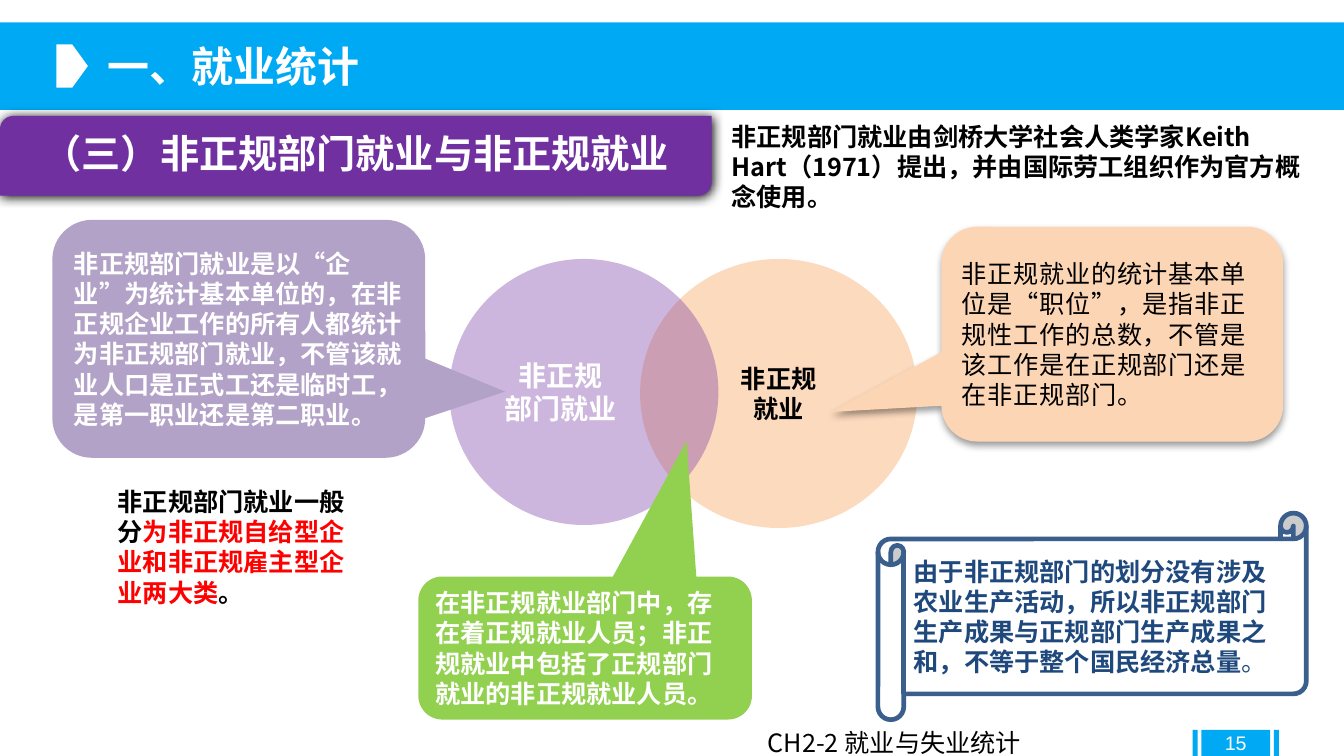
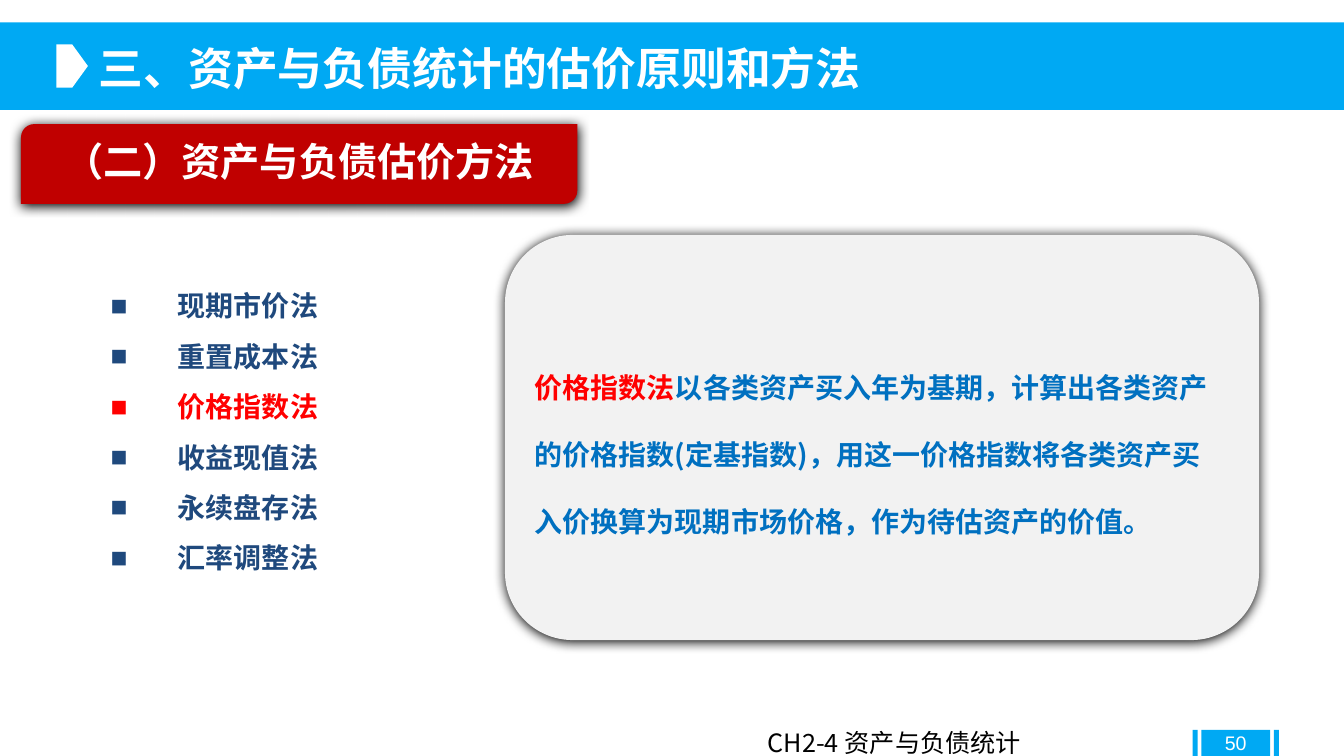
from dataclasses import dataclass
from lxml.etree import SubElement as Sub
from pptx import Presentation as Deck
from pptx.dml.color import RGBColor as Rgb
from pptx.enum.shapes import MSO_SHAPE as Form
from pptx.enum.text import MSO_ANCHOR as Anchor, PP_ALIGN as Align
from pptx.oxml.ns import qn
from pptx.util import Pt


@dataclass(frozen=True)
class Theme:
    font: str = "Noto Sans CJK SC"
    plain: str = "Arial"
    white: str = "FFFFFF"
    black: str = "000000"
    sky: str = "00A9F3"
    navy: str = "1F497D"
    blue: str = "0070C0"
    steel: str = "3A5F8C"
    red: str = "FF0000"
    wine: str = "C00000"
    purple: str = "7030A0"
    lilac: str = "B3A2C7"
    orange: str = "F79646"
    peach: str = "FCD5B5"
    green: str = "92D050"
    pale: str = "F2F2F2"
    small: int = 14
    body: int = 18
    large: int = 20
    head: int = 28


T = Theme()
DEEP = (100, 8.5, 1)
SOFT = (40, 5.2, 3)


def put(obj, vals):
    for key, val in vals.items():
        setattr(obj, key, val)


class Page:
    def __init__(self, deck):
        self.slide = deck.slides.add_slide(deck.slide_layouts[6])

    def fill_in(self, shape, paras, font=None, para=None, frame=None, bullet=None, track=None):
        body = shape.text_frame
        put(body, {"word_wrap": True, **(frame or {})})
        base = {"size": T.body, "bold": True, "color": T.black, "name": T.font, **(font or {})}
        for num, runs in enumerate(paras):
            line = body.add_paragraph() if num else body.paragraphs[0]
            put(line, {"alignment": Align.LEFT, **(para or {})})
            if bullet:
                props = line._p.get_or_add_pPr()
                props.set("marL", str(Pt(bullet)))
                props.set("indent", str(-Pt(bullet)))
                Sub(props, qn("a:buFont"), typeface=T.plain)
                Sub(props, qn("a:buChar"), char="■")
            for text, diff in runs:
                look = {**base, **diff}
                run = line.add_run()
                run.text = text
                run.font.color.rgb = Rgb.from_string(look.pop("color"))
                put(run.font, {**look, "size": Pt(look["size"])})
                props = run._r.get_or_add_rPr()
                Sub(props, qn("a:ea"), typeface=look["name"])
                if track:
                    props.set("spc", str(track))

    def text(self, box, paras, **look):
        shape = self.slide.shapes.add_textbox(*map(Pt, box))
        self.fill_in(shape, paras, **look)

    def shape(self, form, box, fill, paras=(), alpha=None, line=None, shade=None, bend=(), **look):
        shape = self.slide.shapes.add_shape(form, *map(Pt, box))
        for num, val in enumerate(bend):
            shape.adjustments[num] = val
        shape.fill.solid()
        shape.fill.fore_color.rgb = Rgb.from_string(fill)
        props = shape._element.spPr
        if alpha:
            Sub(props.find(".//" + qn("a:srgbClr")), qn("a:alpha"), val=str(alpha * 1000))
        if line:
            shape.line.color.rgb = Rgb.from_string(line)
            shape.line.width = Pt(3.35)
        else:
            shape.line.fill.background()
        shape.shadow.inherit = False
        if shade:
            self.shade(props, *shade)
        if paras:
            frame = {"vertical_anchor": Anchor.MIDDLE, **look.pop("frame", {})}
            self.fill_in(shape, paras, frame=frame, **look)

    def shade(self, props, alpha, blur, dist):
        cast = Sub(props.find(qn("a:effectLst")), qn("a:outerShdw"), blurRad=str(Pt(blur)),
                   dist=str(Pt(dist)), dir="5400000", algn="t", rotWithShape="0")
        tint = Sub(cast, qn("a:srgbClr"), val=T.black)
        Sub(tint, qn("a:alpha"), val=str(alpha * 1000))

    def base(self, title, left, size, foot, num):
        self.shape(Form.RECTANGLE, (0, 16, 960, 62.6), T.sky)
        for x, wide in ((858.2, 49), (910, 3.6), (851.8, 3.6)):
            self.shape(Form.RECTANGLE, (x, 521.3, wide, 18.7), T.sky)
        self.text((left, 25.2, 600, 50), [[(title, {})]],
                  font={"size": size, "color": T.white}, frame={"word_wrap": False})
        self.shape(Form.PENTAGON, (40.3, 31.7, 22.5, 31), T.white)
        self.text((541.4, 516.2, 309, 23.8), [[(foot, {})]], font={"bold": False})
        tight = dict.fromkeys(("margin_top", "margin_bottom"), 0)
        self.text((858.2, 521.3, 49, 18.7), [[(num, {})]],
                  font={"size": T.small, "bold": False, "color": T.white, "name": T.plain},
                  para={"alignment": Align.CENTER},
                  frame={"vertical_anchor": Anchor.MIDDLE, **tight})

    def banner(self, text, x, y, wide, fill):
        self.shape(Form.ROUND_2_DIAG_RECTANGLE, (x, y, wide, 57), fill, [[(text, {})]],
                   shade=DEEP, font={"size": T.head, "color": T.white},
                   para={"alignment": Align.CENTER, "line_spacing": 0.9},
                   frame={"margin_left": Pt(22), "margin_right": Pt(22)})

    def call(self, box, fill, tip, text, **look):
        self.shape(Form.ROUNDED_RECTANGULAR_CALLOUT, box, fill, [[(text, {})]],
                   bend=(*tip, 0.167), **look)


def jobs(deck):
    page = Page(deck)
    page.base("一、就业统计", 70, 30, "CH2-2 就业与失业统计", "15")
    page.banner("（三）非正规部门就业与非正规就业", 0, 82.8, 508.3, T.purple)
    page.text((515.5, 82.8, 429, 73), [[(
        "非正规部门就业由剑桥大学社会人类学家Keith Hart（1971）提出，"
        "并由国际劳工组织作为官方概念使用。", {})]])
    page.text((77, 343.4, 179.3, 94.3), [[
        ("非正规部门就业一般分", {}),
        ("为非正规自给型企业和非正规雇主型企业两大类", {"color": T.red}),
        ("。", {})]], frame={"vertical_anchor": Anchor.MIDDLE})

    mid = {"alignment": Align.CENTER}
    page.shape(Form.OVAL, (457.2, 185, 198, 192.2), T.orange,
               [[("非正规", {})], [("就业", {})]], alpha=35, para=mid)
    page.shape(Form.OVAL, (321, 185, 192.2, 190), T.purple,
               [[("非正规", {})], [("部门就业", {})]], alpha=35, para=mid,
               font={"size": T.large, "color": T.white}, frame={"margin_right": Pt(41)})

    light = {"color": T.white}
    page.call((37.4, 157, 266.4, 170), T.lilac, (0.714, 0.222),
              "非正规部门就业是以“企业”为统计基本单位的，在非正规企业工作的所有人都统计为"
              "非正规部门就业，不管该就业人口是正式工还是临时工，是第一职业还是第二职业。",
              font=light)
    page.call((672.5, 162, 244, 153.4), T.peach, (-0.822, 0.362),
              "非正规就业的统计基本单位是“职位”，是指非正规性工作的总数，"
              "不管是该工作是在正规部门还是在非正规部门。",
              font={"bold": False}, shade=SOFT, track=50)
    page.call((298.8, 411.8, 238.3, 102.2), T.green, (0.304, -1.448),
              "在非正规就业部门中，存在着正规就业人员；"
              "非正规就业中包括了正规部门就业的非正规就业人员。", font=light)
    page.shape(Form.HORIZONTAL_SCROLL, (627.1, 366.5, 306, 147.6), T.white, [[
        ("由于非正规部门的划分没有涉及农业生产活动，所以非正规部门生产成果与"
         "正规部门生产成果之和，不等于整个国民经济总量", {}),
        ("。", {"bold": False})]], line=T.steel, font={"color": T.navy})


def worth(deck):
    page = Page(deck)
    page.base("三、资产与负债统计的估价原则和方法", 63.4, 32, "CH2-4 资产与负债统计", "50")
    page.banner("（二）资产与负债估价方法", 15, 88.6, 397.4, T.wine)
    key = "价格指数法"
    ways = ("现期市价法", "重置成本法", key, "收益现值法", "永续盘存法", "汇率调整法")
    page.text((72, 190.8, 273.6, 225.4),
              [[(way, {"color": T.red if way == key else T.navy})] for way in ways],
              font={"size": T.large}, para={"line_spacing": 1.5}, bullet=48)
    page.shape(Form.ROUNDED_RECTANGLE, (360.7, 167.8, 538.6, 289.4), T.pale, [
        [(key, {"color": T.red}), ("以各类资产买入年为基期，计算出各类资产", {})],
        [("的价格指数(定基指数)，用这一价格指数将各类资产买", {})],
        [("入价换算为现期市场价格，作为待估资产的价值。", {})]],
        shade=DEEP, bend=(0.167,), font={"size": T.large, "color": T.blue},
        para={"line_spacing": 2.0}, frame={"word_wrap": False})


def main():
    deck = Deck()
    put(deck, {"slide_width": Pt(960), "slide_height": Pt(540)})
    jobs(deck)
    worth(deck)
    deck.save("out.pptx")


if __name__ == "__main__":
    main()
